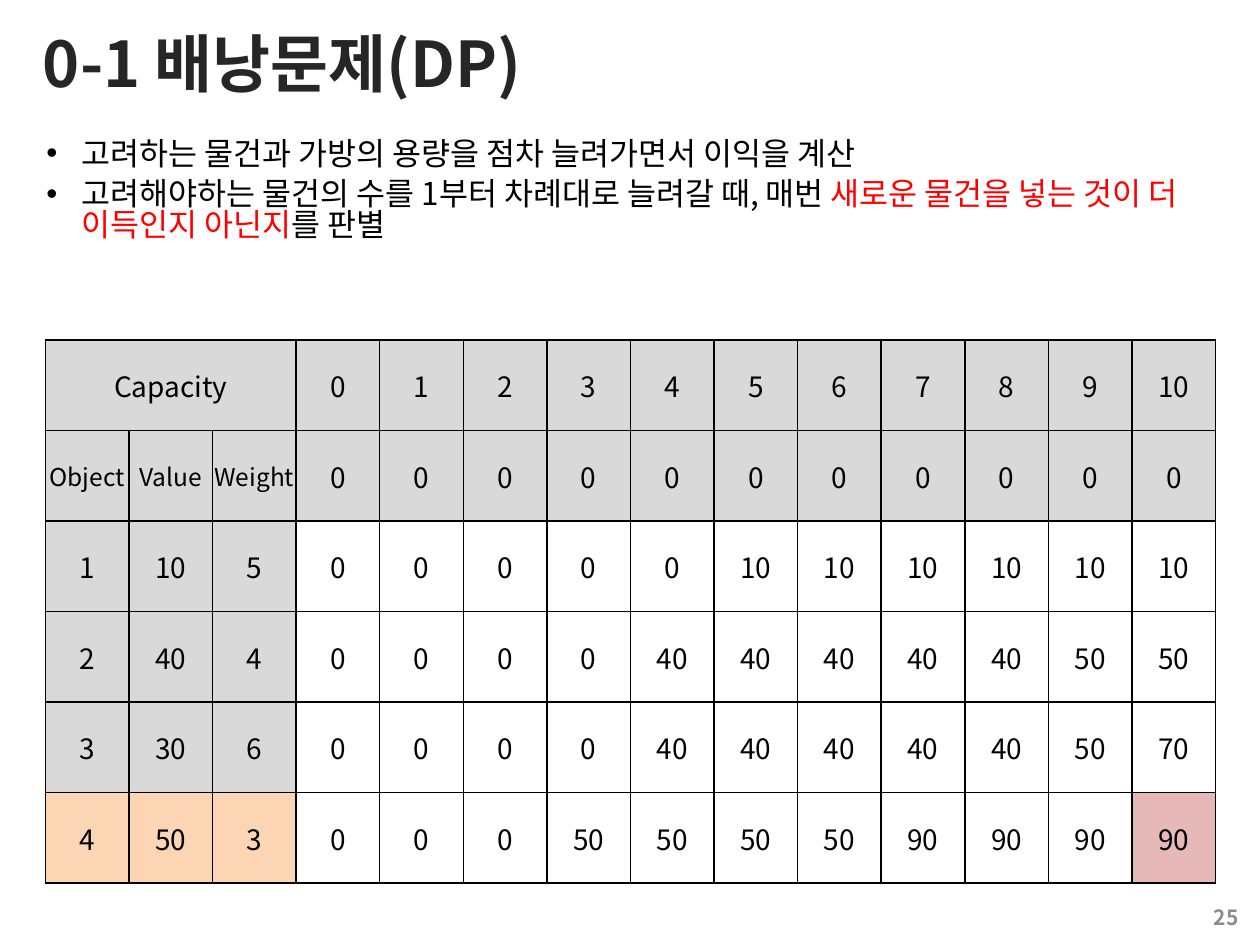
import dataclasses
import itertools

import lxml.etree
import pptx
import pptx.dml.color
import pptx.enum.text
import pptx.oxml
import pptx.oxml.ns
import pptx.util

Inches, Pt = pptx.util.Inches, pptx.util.Pt
ALIGN, ANCHOR = pptx.enum.text.PP_ALIGN, pptx.enum.text.MSO_ANCHOR
qn = pptx.oxml.ns.qn


@dataclasses.dataclass(frozen=True)
class Theme:
    font: str = "Noto Sans CJK KR"
    ink: str = "000000"
    title_ink: str = "262626"
    emphasis: str = "FF0000"
    muted: str = "8C8C8C"
    header_fill: str = "D9D9D9"
    current_fill: str = "FCD5B5"
    answer_fill: str = "E6B9B8"
    title_size: int = 36
    body_size: int = 18
    cell_size: int = 16
    label_size: int = 14
    number_size: int = 12
    border_width: int = 1


THEME = Theme()
SLIDE_SIZE = (10, 7.5)
TITLE = "0-1 배낭문제(DP)"
BULLETS = [
    [("고려하는 물건과 가방의 용량을 점차 늘려가면서 이익을 계산", THEME.ink)],
    [("고려해야하는 물건의 수를 1부터 차례대로 늘려갈 때, 매번 ", THEME.ink),
     ("새로운 물건을 넣는 것이 더 이득인지 아닌지", THEME.emphasis),
     ("를 판별", THEME.ink)],
]
OBJECTS = [(10, 5), (40, 4), (30, 6), (50, 3)]  # (value, weight)
MAX_CAPACITY = 10
LABELS = ["Object", "Value", "Weight"]


def apply_format(target, values):
    for name, value in values.items():
        setattr(target, name, value)


def place(shape, left, top, width, height):
    lengths = {"left": left, "top": top, "width": width, "height": height}
    apply_format(shape, {name: Inches(value) for name, value in lengths.items()})


def add_run(paragraph, text, size, color, bold=False):
    run = paragraph.add_run()
    run.text = text
    apply_format(run.font, {"name": THEME.font, "size": Pt(size), "bold": bold})
    run.font.color.rgb = pptx.dml.color.RGBColor.from_string(color)
    east_asian = lxml.etree.SubElement(run.font._element, qn("a:ea"))
    east_asian.set("typeface", THEME.font)


def add_text_area(slide, left, top, width, height):
    area = slide.shapes.add_textbox(*map(Inches, (left, top, width, height)))
    area.text_frame.word_wrap = True
    return area.text_frame


def add_title(slide):
    title = slide.shapes.title
    place(title, 0.24, 0.01, 9.51, 0.97)
    apply_format(title.text_frame, {"vertical_anchor": ANCHOR.MIDDLE, "word_wrap": True})
    heading = title.text_frame.paragraphs[0]
    heading.alignment = ALIGN.LEFT
    add_run(heading, TITLE, THEME.title_size, THEME.title_ink, bold=True)


def add_bullets(slide):
    frame = add_text_area(slide, 0.27, 1.07, 9.46, 1.4)
    for index, pieces in enumerate(BULLETS):
        paragraph = frame.add_paragraph() if index else frame.paragraphs[0]
        apply_format(paragraph, {"line_spacing": 0.8, "space_after": Pt(3)})
        if index:
            paragraph.space_before = Pt(3)
        properties = paragraph._p.get_or_add_pPr()
        properties.set("marL", str(Inches(0.28)))
        properties.set("indent", str(Inches(-0.28)))
        lxml.etree.SubElement(properties, qn("a:buFont")).set("typeface", "Arial")
        lxml.etree.SubElement(properties, qn("a:buChar")).set("char", "•")
        for text, color in pieces:
            add_run(paragraph, text, THEME.body_size, color)


def add_slide_number(slide):
    frame = add_text_area(slide, 7.6, 7.08, 2.33, 0.4)
    frame.vertical_anchor = ANCHOR.MIDDLE
    frame.paragraphs[0].alignment = ALIGN.RIGHT
    add_run(frame.paragraphs[0], "25", THEME.number_size, THEME.muted, bold=True)


def knapsack_rows():
    """Rows of best profit by capacity, one for each number of objects considered."""
    rows = [[0] * (MAX_CAPACITY + 1)]
    for value, weight in OBJECTS:
        previous = rows[-1]
        rows.append([
            max(best, previous[capacity - weight] + value) if capacity >= weight else best
            for capacity, best in enumerate(previous)
        ])
    return rows


def table_rows():
    profits = knapsack_rows()
    return [
        ["Capacity", "", "", *range(MAX_CAPACITY + 1)],
        [*LABELS, *profits[0]],
        *([number, *item, *profits[number]] for number, item in enumerate(OBJECTS, 1)),
    ]


def cell_fill(row, column, last_row, last_column):
    if row == last_row:
        if column < len(LABELS):
            return THEME.current_fill
        return THEME.answer_fill if column == last_column else None
    return THEME.header_fill if row < 2 or column < len(LABELS) else None


def add_borders(cell):
    properties = cell._tc.get_or_add_tcPr()
    for side in ("lnL", "lnR", "lnT", "lnB"):
        line = lxml.etree.SubElement(properties, qn(f"a:{side}"))
        line.set("w", str(Pt(THEME.border_width)))
        fill = lxml.etree.SubElement(line, qn("a:solidFill"))
        lxml.etree.SubElement(fill, qn("a:srgbClr")).set("val", THEME.ink)


def format_cell(cell, text, fill):
    margins = {f"margin_{side}": 0 for side in ("left", "right", "top", "bottom")}
    apply_format(cell, {"vertical_anchor": ANCHOR.MIDDLE, **margins})
    add_borders(cell)
    if fill:
        cell.fill.solid()
        cell.fill.fore_color.rgb = pptx.dml.color.RGBColor.from_string(fill)
    else:
        cell.fill.background()
    if text:
        paragraph = cell.text_frame.paragraphs[0]
        paragraph.alignment = ALIGN.CENTER
        size = THEME.label_size if text in LABELS else THEME.cell_size
        add_run(paragraph, text, size, THEME.ink)


def add_profit_table(slide):
    rows = table_rows()
    row_count, column_count = len(rows), len(rows[0])
    width, height = Inches(9.29), Inches(4.31)
    table = slide.shapes.add_table(
        row_count, column_count, Inches(0.36), Inches(2.7), width, height).table
    apply_format(table, {"first_row": False, "horz_banding": False})
    for column in table.columns:
        column.width = width // column_count
    for row in table.rows:
        row.height = height // row_count
    for row, column in itertools.product(range(row_count), range(column_count)):
        fill = cell_fill(row, column, row_count - 1, column_count - 1)
        format_cell(table.cell(row, column), str(rows[row][column]), fill)
    table.cell(0, 0).merge(table.cell(0, len(LABELS) - 1))


def main():
    presentation = pptx.Presentation()
    presentation.slide_width, presentation.slide_height = map(Inches, SLIDE_SIZE)
    slide = presentation.slides.add_slide(presentation.slide_layouts.get_by_name("Title Only"))
    add_title(slide)
    add_bullets(slide)
    add_slide_number(slide)
    add_profit_table(slide)
    presentation.save("out.pptx")


if __name__ == "__main__":
    main()
